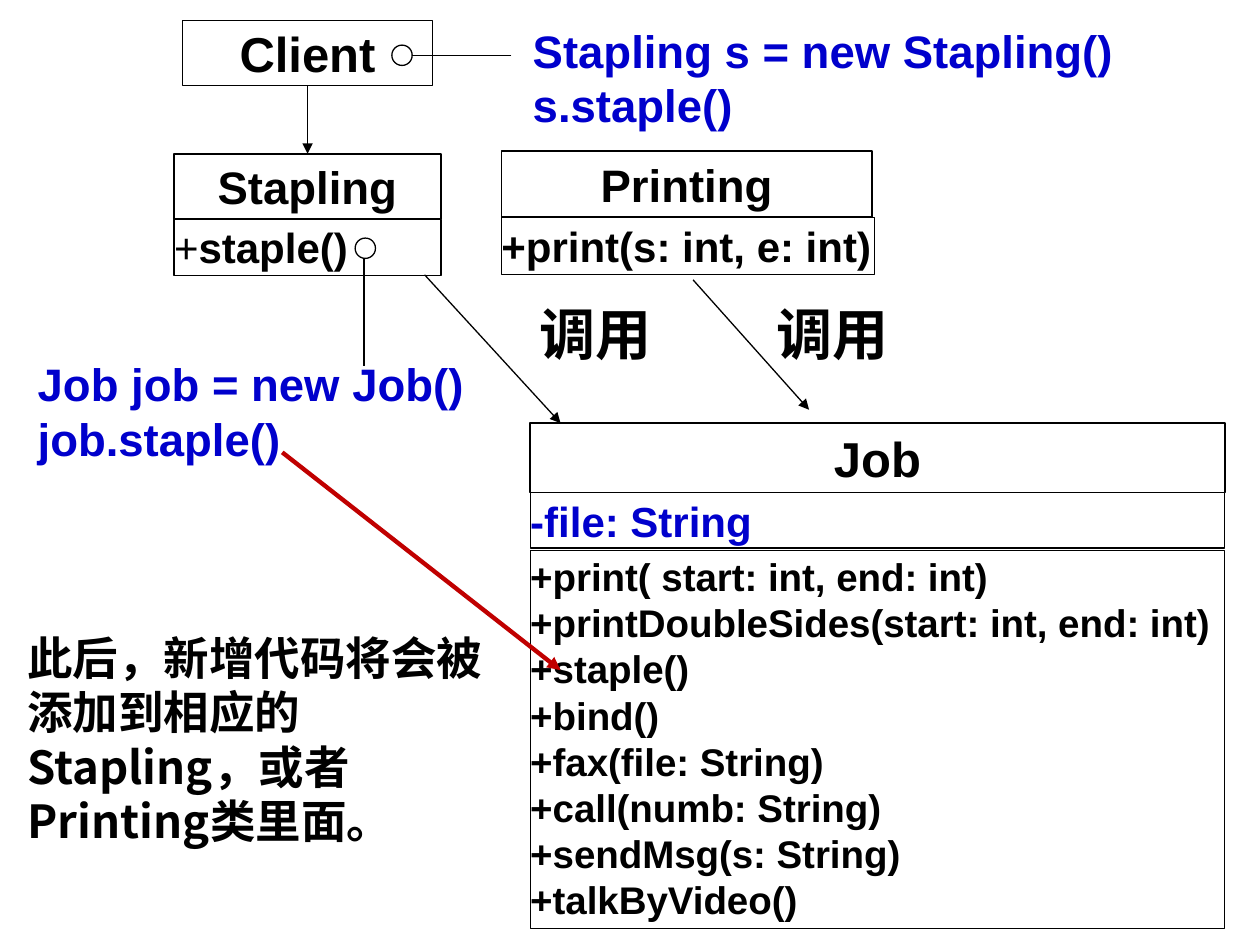
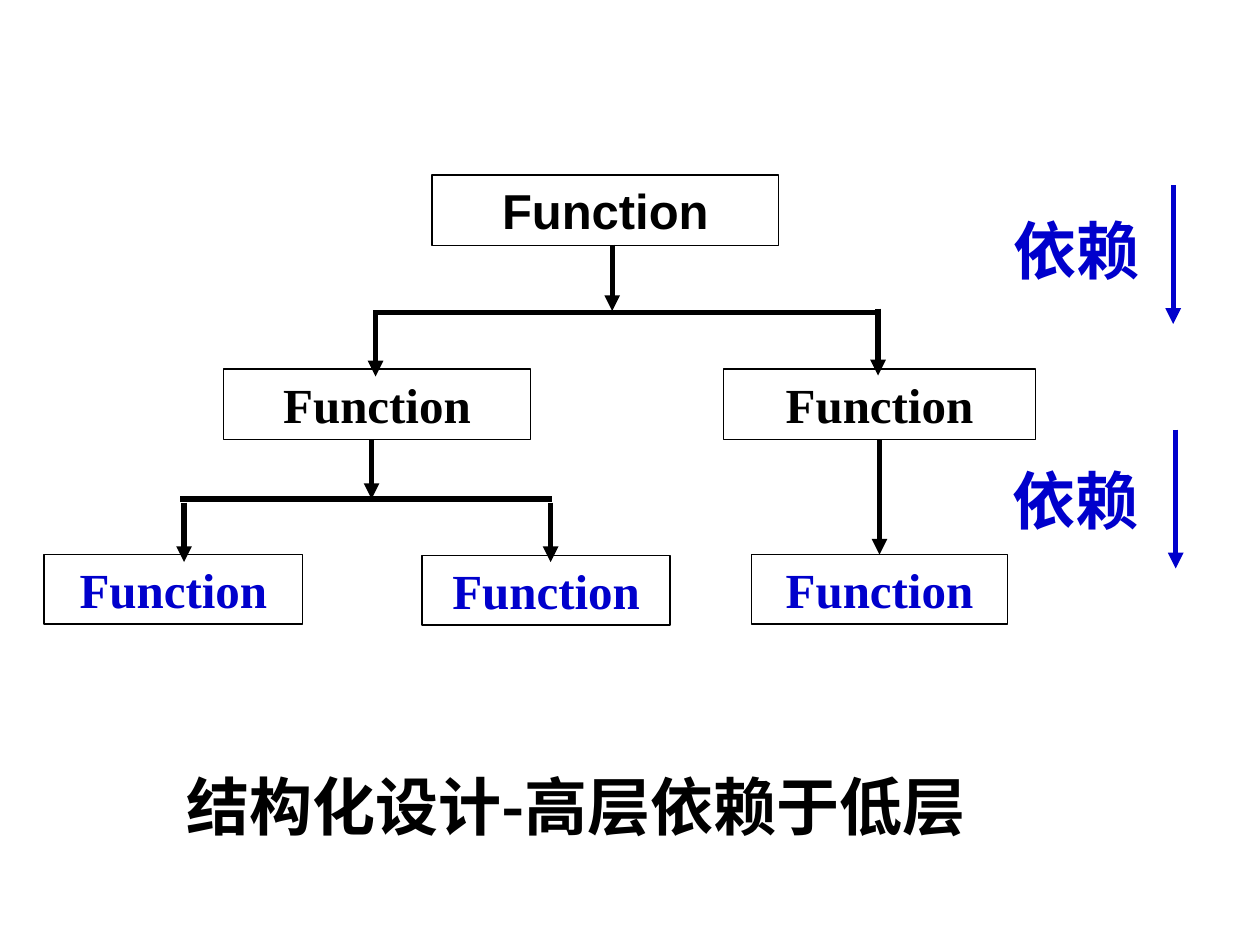
from lxml import etree
from pptx import Presentation
from pptx.dml.color import RGBColor
from pptx.enum.shapes import MSO_CONNECTOR, MSO_SHAPE
from pptx.enum.text import MSO_ANCHOR, PP_ALIGN
from pptx.oxml.ns import qn
from pptx.util import Cm, Pt

RECT = MSO_SHAPE.RECTANGLE
OVAL = MSO_SHAPE.OVAL
LINE = MSO_CONNECTOR.STRAIGHT
MID = MSO_ANCHOR.MIDDLE
TOP = MSO_ANCHOR.TOP
LEFT = PP_ALIGN.LEFT
MIDDLE = PP_ALIGN.CENTER

HUES = {"ink": "000000", "blue": "0000CC", "red": "C00000", "paper": "FFFFFF"}
SANS = "Arial"
SERIF = "Times New Roman"
HAN = "Noto Sans CJK SC"


def hue(name):
    return RGBColor.from_string(HUES[name])


def style(run, size, face, tint, bold=True):
    font = run.font
    font.size = Pt(size)
    font.bold = bold
    font.name = face
    font.color.rgb = hue(tint)
    latin = run._r.rPr.find(qn("a:latin"))
    east = etree.Element(qn("a:ea"), typeface=face)
    latin.addnext(east)


def write(frame, text, size, face, tint, align):
    frame.word_wrap = True
    frame.text = text
    for par in frame.paragraphs:
        par.alignment = align
        for run in par.runs:
            style(run, size, face, tint)


def shape(slide, kind, area, width=0.75):
    item = slide.shapes.add_shape(kind, *map(Cm, area))
    item.shadow.inherit = False
    item.fill.solid()
    item.fill.fore_color.rgb = hue("paper")
    item.line.color.rgb = hue("ink")
    item.line.width = Pt(width)
    return item


def box(slide, area, text, size, face=SANS, tint="ink", align=MIDDLE,
        anchor=MID, width=0.75):
    item = shape(slide, RECT, area, width)
    frame = item.text_frame
    frame.margin_left = frame.margin_right = 0
    frame.margin_top = frame.margin_bottom = Cm(0.05)
    frame.vertical_anchor = anchor
    write(frame, text, size, face, tint, align)
    return item


def rows(slide, area, text, size, tint="ink"):
    return box(slide, area, text, size, tint=tint, align=LEFT, anchor=TOP)


def note(slide, area, text, size, face=HAN, tint="ink", align=LEFT):
    item = slide.shapes.add_textbox(*map(Cm, area))
    write(item.text_frame, text, size, face, tint, align)


def link(slide, start, end, tint="ink", width=0.75, arrow=True):
    item = slide.shapes.add_connector(LINE, *map(Cm, start + end))
    item.line.color.rgb = hue(tint)
    item.line.width = Pt(width)
    if arrow:
        etree.SubElement(item.line._get_or_add_ln(), qn("a:tailEnd"), type="triangle")
    etree.SubElement(item._element.spPr, qn("a:effectLst"))
    return item


def join(slide, upper, lower, start, end, **look):
    item = link(slide, start, end, **look)
    item.begin_connect(upper, 0 if upper is None else 2)
    item.end_connect(lower, 0)


def callout(slide, dot, start, end, area, text):
    link(slide, start, end, arrow=False)
    shape(slide, OVAL, (*dot, 0.41, 0.41))
    note(slide, area, text, 26, SANS, "blue")


def draw_classes(slide):
    staple = box(slide, (3.51, 3.1, 5.38, 1.32), "Stapling", 26, width=1)
    act = rows(slide, (3.51, 4.42, 5.38, 1.14), "+", 24)
    par = act.text_frame.paragraphs[0]
    par.runs[0].font.bold = False
    tail = par.add_run()
    tail.text = "staple()"
    style(tail, 24, SANS, "ink")

    rows(slide, (10.11, 4.39, 7.52, 1.14), "+print(s: int, e: int)", 24)
    box(slide, (10.11, 3.05, 7.47, 1.32), "Printing", 26, width=1)
    client = box(slide, (3.68, 0.41, 5.04, 1.32), "Client", 28)

    link(slide, (8.56, 5.54), (11.3, 8.53))
    link(slide, (13.97, 5.64), (16.31, 8.26))
    for left in (15.09, 10.31):
        note(slide, (left, 5.92, 3.4, 1.6), "调用", 32, align=MIDDLE)
    join(slide, client, staple, (6.2, 1.73), (6.2, 3.1))

    box(slide, (10.69, 8.53, 14, 1.4), "Job", 28, width=1)
    rows(slide, (10.69, 9.93, 14, 1.12), "-file: String", 24, "blue")
    calls = ("print( start: int, end: int)", "printDoubleSides(start: int, end: int)",
             "staple()", "bind()", "fax(file: String)", "call(numb: String)",
             "sendMsg(s: String)", "talkByVideo()")
    rows(slide, (10.69, 11.1, 14, 7.62), "\n".join("+" + call for call in calls), 22)

    callout(slide, (7.9, 0.91), (10.31, 1.12), (8.31, 1.12),
            (10.49, 0.33, 13.11, 2.46), "Stapling s = new Stapling()\ns.staple()")
    callout(slide, (7.16, 4.8), (7.34, 5.16), (7.34, 7.37),
            (0.51, 7.06, 9.4, 2.46), "Job job = new Job()\njob.staple()")
    note(slide, (0.3, 12.57, 10.13, 3.58),
         "此后，新增代码将会被添加到相应的Stapling，或者Printing类里面。", 26)
    link(slide, (5.69, 9.12), (11.3, 13.51), "red", 2.5)


def draw_tree(slide):
    word = "Function"
    box(slide, (8.71, 3.53, 6.99, 1.42), word, 28)
    box(slide, (4.5, 7.44, 6.2, 1.42), word, 28, SERIF)
    right = box(slide, (14.58, 7.44, 6.3, 1.42), word, 28, SERIF)
    for left, top, wide in ((0.89, 11.18, 5.21), (8.51, 11.2, 5), (15.15, 11.18, 5.16)):
        leaf = box(slide, (left, top, wide, 1.4), word, 28, SERIF, "blue")
    join(slide, right, leaf, (17.73, 8.86), (17.73, 11.18), width=3)

    for left, end, top in ((7.54, 17.73, 6.3), (3.63, 11.13, 10.06)):
        link(slide, (left, top), (end, top), width=3, arrow=False)
    drops = ((12.34, 4.93, 6.27), (7.49, 8.86, 10.06), (7.57, 6.25, 7.59),
             (17.7, 6.22, 7.57), (3.71, 10.13, 11.33), (11.1, 10.13, 11.33))
    for left, top, end in drops:
        link(slide, (left, top), (left, end), width=3)

    for left, top, text_left, text_top in ((23.65, 3.73, 20.19, 4.14),
                                           (23.7, 8.66, 20.17, 9.17)):
        link(slide, (left, top), (left, top + 2.8), "blue", 3)
        note(slide, (text_left, text_top, 3.3, 1.78), "依赖", 36, tint="blue")
    note(slide, (1.91, 15.34, 19.41, 1.78), "结构化设计-高层依赖于低层", 36, align=MIDDLE)


def main():
    deck = Presentation()
    deck.slide_width = Cm(25.4)
    deck.slide_height = Cm(19.05)
    for draw in (draw_classes, draw_tree):
        draw(deck.slides.add_slide(deck.slide_layouts[6]))
    deck.save("out.pptx")


if __name__ == "__main__":
    main()
